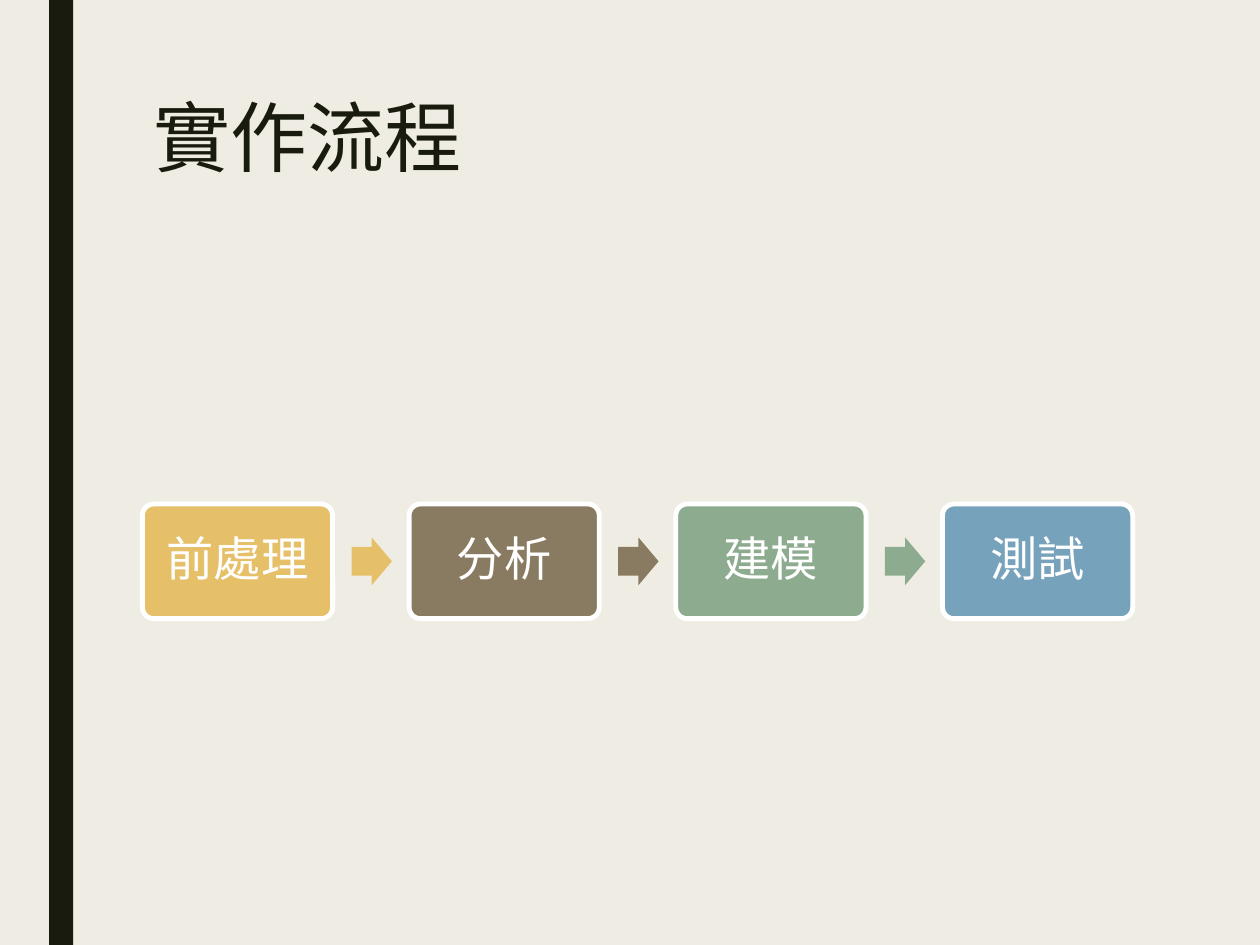
from pptx import Presentation
from pptx.dml.color import RGBColor
from pptx.enum.shapes import MSO_SHAPE
from pptx.enum.text import MSO_ANCHOR, PP_ALIGN
from pptx.util import Inches, Pt

RECT, ROUND, ARROW = (MSO_SHAPE.RECTANGLE, MSO_SHAPE.ROUNDED_RECTANGLE,
                      MSO_SHAPE.RIGHT_ARROW)
TOP, MIDDLE = MSO_ANCHOR.TOP, MSO_ANCHOR.MIDDLE
LEFT, CENTER = PP_ALIGN.LEFT, PP_ALIGN.CENTER

CREAM = RGBColor(0xEF, 0xED, 0xE3)
DARK = RGBColor(0x19, 0x1B, 0x0E)
WHITE = RGBColor(0xFF, 0xFF, 0xFF)
GOLD = RGBColor(0xE6, 0xC0, 0x69)
BROWN = RGBColor(0x89, 0x7B, 0x61)
GREEN = RGBColor(0x8D, 0xAB, 0x8E)
BLUE = RGBColor(0x77, 0xA2, 0xBB)
FONT = "Cabin"

# Content
TITLE = "實作流程"
STEPS = [("前處理", GOLD), ("分析", BROWN), ("建模", GREEN), ("測試", BLUE)]

# Layout in inches: the steps share one row of equal columns
WIDE, HIGH = 10, 7.5
ROW_X, ROW_W = 1.13, 7.86
BOX_W, BOX_H = 1.51, 0.91
MID_Y = 4.455
PITCH = (ROW_W - BOX_W) / (len(STEPS) - 1)
ARROW_W, ARROW_H, GAP = 0.32, 0.38, 0.15


def add_block(slide, kind, x, y, w, h, color):
    block = slide.shapes.add_shape(kind, Inches(x), Inches(y),
                                   Inches(w), Inches(h))
    block.shadow.inherit = False
    block.fill.solid()
    block.fill.fore_color.rgb = color
    block.line.fill.background()
    return block


def set_text(frame, text, size, color, align, anchor, spacing):
    frame.text = text
    frame.word_wrap = True
    frame.vertical_anchor = anchor
    para = frame.paragraphs[0]
    para.alignment = align
    para.line_spacing = spacing
    para.font.name = FONT
    para.font.size = Pt(size)
    para.font.color.rgb = color


def add_step(slide, x, label, color):
    box = add_block(slide, ROUND, x, MID_Y - BOX_H / 2, BOX_W, BOX_H, color)
    box.adjustments[0] = 0.1
    box.line.color.rgb = WHITE
    box.line.width = Pt(2.75)
    set_text(box.text_frame, label, 27, WHITE, CENTER, MIDDLE, 0.9)


def add_arrow(slide, x, color):
    arrow = add_block(slide, ARROW, x, MID_Y - ARROW_H / 2,
                      ARROW_W, ARROW_H, color)
    arrow.adjustments[0] = 0.6
    arrow.adjustments[1] = 0.5


def main():
    deck = Presentation()
    deck.slide_width, deck.slide_height = Inches(WIDE), Inches(HIGH)
    slide = deck.slides.add_slide(deck.slide_layouts[5])
    slide.background.fill.solid()
    slide.background.fill.fore_color.rgb = CREAM

    # Side band
    add_block(slide, RECT, 0.39, 0, 0.19, HIGH, DARK)

    # Title
    title = slide.shapes.title
    title.left, title.top = Inches(1.12), Inches(0.75)
    title.width, title.height = Inches(7.88), Inches(1.62)
    set_text(title.text_frame, TITLE, 44, DARK, LEFT, TOP, 0.89)

    # Process row
    for i, (label, color) in enumerate(STEPS):
        x = ROW_X + i * PITCH
        add_step(slide, x, label, color)
        if i < len(STEPS) - 1:
            add_arrow(slide, x + BOX_W + GAP, color)

    deck.save("out.pptx")


if __name__ == "__main__":
    main()
